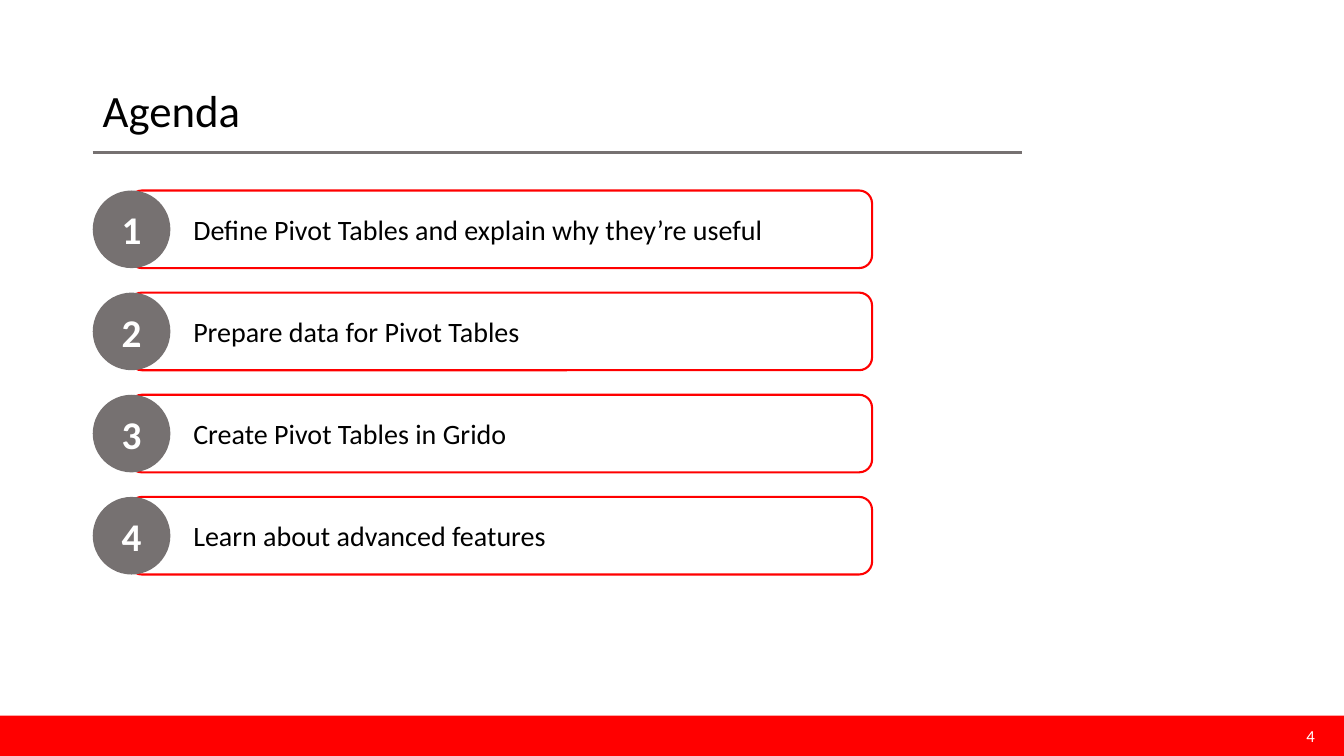
from pptx import Presentation, util as u
from pptx.dml.color import RGBColor
from pptx.enum import shapes, text
from pptx.oxml.ns import qn
from lxml import etree

TITLE = "Agenda"
PAGE = "4"
TOPICS = [
    "Define Pivot Tables and explain why they’re useful",
    "Prepare data for Pivot Tables",
    "Create Pivot Tables in Grido",
    "Learn about advanced features",
]

RED = RGBColor(0xFF, 0x00, 0x00)
GRAY = RGBColor(0x76, 0x71, 0x71)
BLACK = RGBColor(0x00, 0x00, 0x00)
WHITE = RGBColor(0xFF, 0xFF, 0xFF)
FONT = "Calibri"

WIDTH, HEIGHT = 13.33, 7.5
LEFT = 0.92
FOOTER_HEIGHT = 0.4
RULE_Y, RULE_END = 1.51, 10.14
FIRST_TOP, LAST_TOP = 1.89, 4.93
ROW_STEP = (LAST_TOP - FIRST_TOP) / (len(TOPICS) - 1)
BADGE = 0.77
BOX_LEFT, BOX_WIDTH, BOX_INDENT = 1.28, 7.37, 0.6


def inches(*lengths):
    return [u.Inches(length) for length in lengths]


def write(part, words, size, color, align=text.PP_ALIGN.LEFT, bold=False):
    frame = part.text_frame
    frame.word_wrap = True
    frame.vertical_anchor = text.MSO_ANCHOR.MIDDLE
    paragraph = frame.paragraphs[0]
    paragraph.alignment = align
    run = paragraph.add_run()
    run.text = words
    run.font.name = FONT
    run.font.size = u.Pt(size)
    run.font.bold = bold
    run.font.color.rgb = color
    return paragraph


def add_part(slide, preset, at, fill=None, line=None):
    part = slide.shapes.add_shape(preset, *inches(*at))
    part.shadow.inherit = False
    if fill is None:
        part.fill.background()
    else:
        part.fill.solid()
        part.fill.fore_color.rgb = fill
    if line is None:
        part.line.fill.background()
    else:
        part.line.color.rgb = line
        part.line.width = u.Pt(1.5)
    return part


def add_frame(slide):
    """Footer bar, title with its rule, and page number."""
    preset = shapes.MSO_SHAPE.RECTANGLE
    footer_top = HEIGHT - FOOTER_HEIGHT
    add_part(slide, preset, (0, footer_top, WIDTH, FOOTER_HEIGHT), fill=RED)

    rule = slide.shapes.add_connector(
        shapes.MSO_CONNECTOR.STRAIGHT, *inches(LEFT, RULE_Y, RULE_END, RULE_Y))
    rule.line.color.rgb = GRAY
    rule.line.width = u.Pt(2.25)
    etree.SubElement(rule._element.spPr, qn("a:effectLst"))

    title = slide.shapes.add_textbox(*inches(LEFT, 0.4, 11.5, 1.45))
    write(title, TITLE, 32, BLACK).line_spacing = 0.9

    page = slide.shapes.add_textbox(*inches(RULE_END, footer_top, 3, FOOTER_HEIGHT))
    write(page, PAGE, 12, WHITE, text.PP_ALIGN.RIGHT)


def add_topic(slide, number, topic):
    top = FIRST_TOP + (number - 1) * ROW_STEP
    box = add_part(slide, shapes.MSO_SHAPE.ROUNDED_RECTANGLE,
                   (BOX_LEFT, top, BOX_WIDTH, BADGE), line=RED)
    box.text_frame.margin_left = u.Inches(BOX_INDENT)
    write(box, topic, 20, BLACK)
    badge = add_part(slide, shapes.MSO_SHAPE.OVAL, (LEFT, top, BADGE, BADGE), fill=GRAY)
    write(badge, str(number), 28, WHITE, text.PP_ALIGN.CENTER, bold=True)


def main():
    deck = Presentation()
    deck.slide_width, deck.slide_height = inches(WIDTH, HEIGHT)
    slide = deck.slides.add_slide(deck.slide_layouts[6])
    add_frame(slide)
    for number, topic in enumerate(TOPICS, 1):
        add_topic(slide, number, topic)
    deck.save("out.pptx")


if __name__ == "__main__":
    main()
